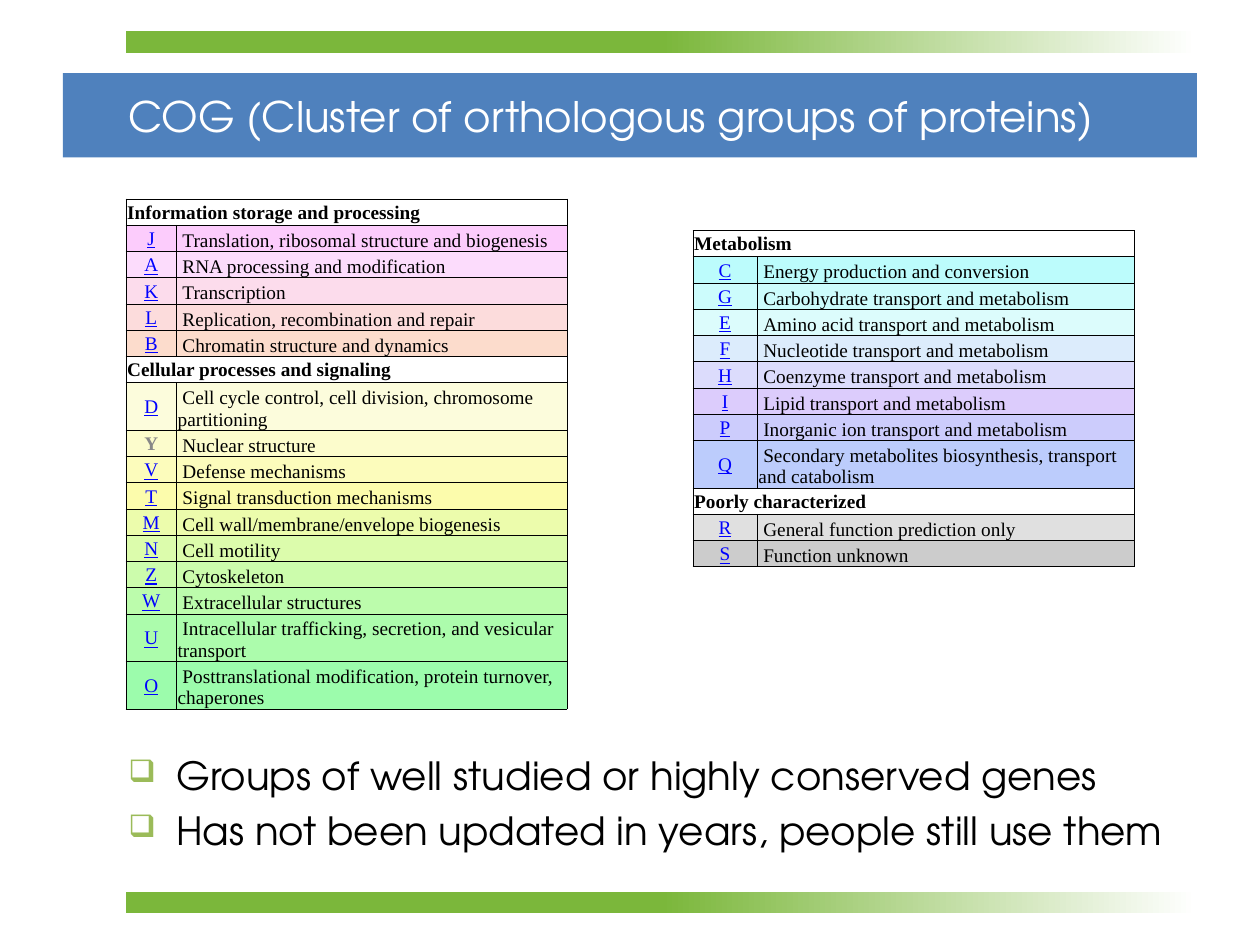
from dataclasses import dataclass

import pptx
import pptx.dml.color
import pptx.enum.shapes
import pptx.enum.text
import pptx.oxml
import pptx.oxml.ns
import pptx.util
from pptx.util import Inches

ANCHOR = pptx.enum.text.MSO_ANCHOR
ALIGN = pptx.enum.text.PP_ALIGN
NO_BREAK_SPACE = chr(160)
NAMESPACE = pptx.oxml.ns.nsdecls("a")
SLIDE_FONT = "TeX Gyre Adventor"
TABLE_FONT = "Times New Roman"
LINK_BLUE = "0000FF"
ROW_HEIGHT = 2.5 / 12


@dataclass
class Category:
    letter: str
    name: str
    fill: str
    linked: bool = True


@dataclass
class Section:
    heading: str
    categories: list[Category]


@dataclass
class CategoryTable:
    left: float
    top: float
    widths: tuple[float, float]
    sections: list[Section]


TABLES = [
    CategoryTable(1, 1.58, (0.4, 3.1), [
        Section("Information storage and processing", [
            Category("J", "Translation, ribosomal structure and biogenesis", "FCCCFC"),
            Category("A", "RNA processing and modification", "FCDCFC"),
            Category("K", "Transcription", "FCDCEC"),
            Category("L", "Replication, recombination and repair", "FCDCDC"),
            Category("B", "Chromatin structure and dynamics", "FCDCCC"),
        ]),
        Section("Cellular processes and signaling", [
            Category("D", "Cell cycle control, cell division, chromosome partitioning", "FCFCDC"),
            Category("Y", "Nuclear structure", "FCFCCC", linked=False),
            Category("V", "Defense mechanisms", "FCFCBC"),
            Category("T", "Signal transduction mechanisms", "FCFCAC"),
            Category("M", "Cell wall/membrane/envelope biogenesis", "ECFCAC"),
            Category("N", "Cell motility", "DCFCAC"),
            Category("Z", "Cytoskeleton", "CCFCAC"),
            Category("W", "Extracellular structures", "BCFCAC"),
            Category("U", "Intracellular trafficking, secretion, and vesicular transport", "ACFCAC"),
            Category("O", "Posttranslational modification, protein turnover, chaperones", "9CFCAC"),
        ]),
    ]),
    CategoryTable(5.5, 1.83, (0.51, 2.99), [
        Section("Metabolism", [
            Category("C", "Energy production and conversion", "BCFCFC"),
            Category("G", "Carbohydrate transport and metabolism", "CCFCFC"),
            Category("E", "Amino acid transport and metabolism", "DCFCFC"),
            Category("F", "Nucleotide transport and metabolism", "DCECFC"),
            Category("H", "Coenzyme transport and metabolism", "DCDCFC"),
            Category("I", "Lipid transport and metabolism", "DCCCFC"),
            Category("P", "Inorganic ion transport and metabolism", "CCCCFC"),
            Category("Q", "Secondary metabolites biosynthesis, transport and catabolism", "BCCCFC"),
        ]),
        Section("Poorly characterized", [
            Category("R", "General function prediction only", "E0E0E0"),
            Category("S", "Function unknown", "CCCCCC"),
        ]),
    ]),
]

POINTS = [
    "Groups of well studied or highly conserved genes",
    "Has not been updated in years, people still use them",
]


def color(value: str) -> pptx.dml.color.RGBColor:
    return pptx.dml.color.RGBColor.from_string(value)


def set_font(paragraph, name: str, size: float, ink: str) -> None:
    paragraph.font.name = name
    paragraph.font.size = pptx.util.Pt(size)
    paragraph.font.color.rgb = color(ink)


def add_bar(page, left: float, top: float, width: float, height: float):
    bar = page.shapes.add_shape(
        pptx.enum.shapes.MSO_SHAPE.RECTANGLE,
        Inches(left), Inches(top), Inches(width), Inches(height))
    bar.shadow.inherit = False
    bar.line.fill.background()
    return bar


def add_fading_bar(page, top: float) -> None:
    bar = add_bar(page, 1, top, 8.5, 0.17)
    bar.fill.gradient()
    bar.fill.gradient_angle = 0
    for stop, position, shade in zip(
            bar.fill.gradient_stops, (0.5, 1), ("7BB73B", "FFFFFF")):
        stop.position = position
        stop.color.rgb = color(shade)


def add_text(page, top: float, height: float, anchor, lines: list[str],
             size: float, ink: str) -> list:
    """Add a wrapped text box and return its paragraphs."""
    box = page.shapes.add_textbox(
        Inches(0.92), Inches(top), Inches(8.58), Inches(height))
    frame = box.text_frame
    frame.word_wrap = True
    frame.vertical_anchor = anchor
    frame.text = "\n".join(lines)
    for paragraph in frame.paragraphs:
        set_font(paragraph, SLIDE_FONT, size, ink)
    return list(frame.paragraphs)


def add_bullet(paragraph) -> None:
    paragraph.space_before = pptx.util.Pt(4.4)
    properties = paragraph._p.get_or_add_pPr()
    properties.set("marL", str(Inches(0.38)))
    properties.set("indent", str(Inches(-0.38)))
    bullet_parts = (
        f'<a:buClr {NAMESPACE}><a:srgbClr val="9BBB59"/></a:buClr>',
        f'<a:buSzPct {NAMESPACE} val="80000"/>',
        f'<a:buChar {NAMESPACE} char="❑"/>',
    )
    following = properties.find(pptx.oxml.ns.qn("a:defRPr"))
    for part in bullet_parts:
        following.addprevious(pptx.oxml.parse_xml(part))


def add_borders(cell) -> None:
    properties = cell._tc.get_or_add_tcPr()
    for index, side in enumerate(("lnL", "lnR", "lnT", "lnB")):
        properties.insert(index, pptx.oxml.parse_xml(
            f'<a:{side} {NAMESPACE} w="{pptx.util.Pt(0.5)}"><a:solidFill>'
            f'<a:srgbClr val="000000"/></a:solidFill></a:{side}>'))


def fill_cell(cell, text: str, ink: str = "000000", anchor=ANCHOR.MIDDLE,
              align=ALIGN.LEFT, bold: bool = False, underline: bool = False,
              fill: str | None = None) -> None:
    cell.text = text
    cell.vertical_anchor = anchor
    cell.margin_left = cell.margin_top = cell.margin_right = Inches(0.01)
    cell.margin_bottom = 0
    paragraph = cell.text_frame.paragraphs[0]
    paragraph.alignment = align
    set_font(paragraph, TABLE_FONT, 11, ink)
    paragraph.font.bold = bold
    paragraph.font.underline = underline
    if fill:
        cell.fill.solid()
        cell.fill.fore_color.rgb = color(fill)
    else:
        cell.fill.background()
    add_borders(cell)


def add_category_table(page, spec: CategoryTable) -> None:
    rows = [row for section in spec.sections
            for row in (section.heading, *section.categories)]
    table = page.shapes.add_table(
        len(rows), 2, Inches(spec.left), Inches(spec.top),
        Inches(sum(spec.widths)), Inches(ROW_HEIGHT * len(rows))).table
    table.first_row = table.horz_banding = False
    for column, width in zip(table.columns, spec.widths):
        column.width = Inches(width)
    for index, row in enumerate(rows):
        table.rows[index].height = Inches(ROW_HEIGHT)
        first, second = table.cell(index, 0), table.cell(index, 1)
        if isinstance(row, str):
            first.merge(second)
            fill_cell(first, row, bold=True)
            fill_cell(second, "")
        else:
            fill_cell(first, row.letter, LINK_BLUE if row.linked else "888888",
                      align=ALIGN.CENTER, bold=not row.linked,
                      underline=row.linked, fill=row.fill)
            fill_cell(second, NO_BREAK_SPACE + row.name,
                      anchor=ANCHOR.BOTTOM, fill=row.fill)


def main() -> None:
    deck = pptx.Presentation()
    deck.slide_width, deck.slide_height = Inches(10), Inches(7.5)
    page = deck.slides.add_slide(deck.slide_layouts[6])
    banner = add_bar(page, 0.5, 0.58, 9, 0.67)
    banner.fill.solid()
    banner.fill.fore_color.rgb = color("4F81BD")
    for top in (0.25, 7.08):
        add_fading_bar(page, top)
    add_text(page, 0.58, 0.67, ANCHOR.MIDDLE,
             ["COG (Cluster of orthologous groups of proteins)"], 24, "FFFFFF")
    for paragraph in add_text(page, 5.92, 0.78, ANCHOR.TOP, POINTS, 22.2, "000000"):
        add_bullet(paragraph)
    for spec in TABLES:
        add_category_table(page, spec)
    deck.save("out.pptx")


if __name__ == "__main__":
    main()
